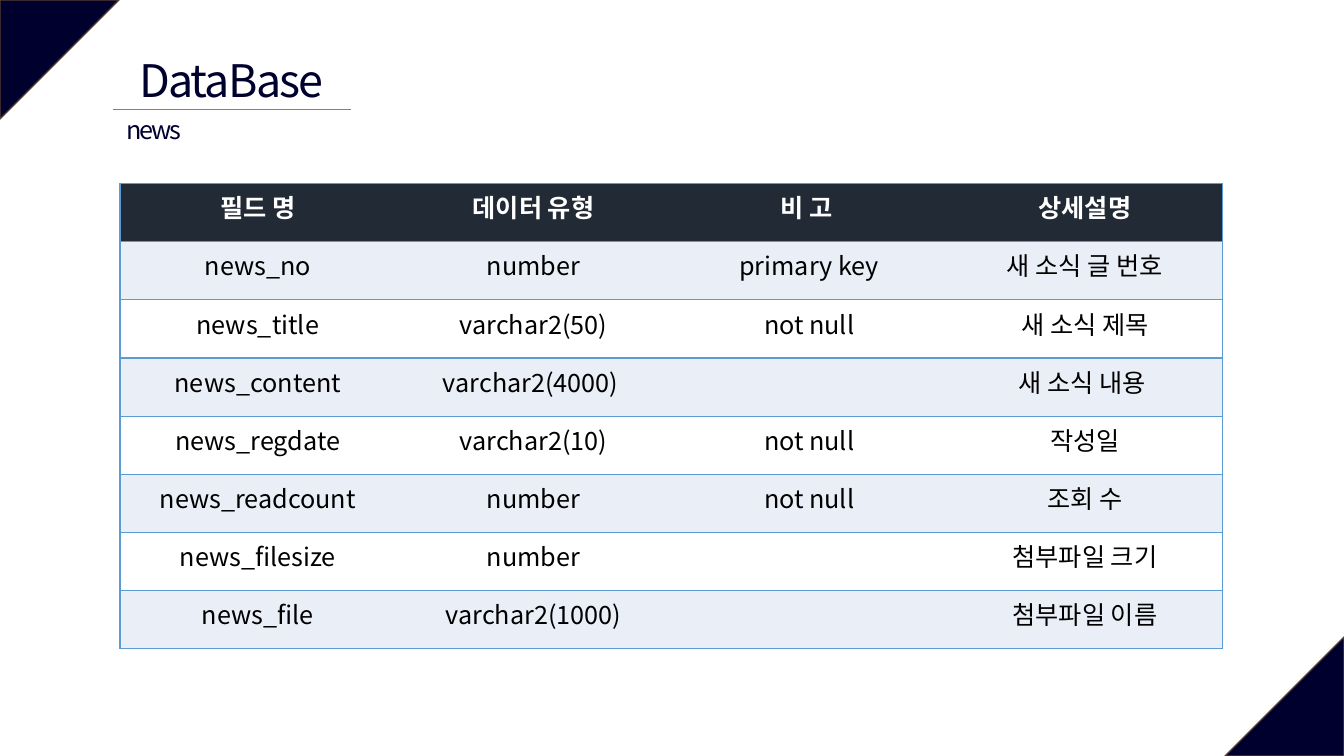
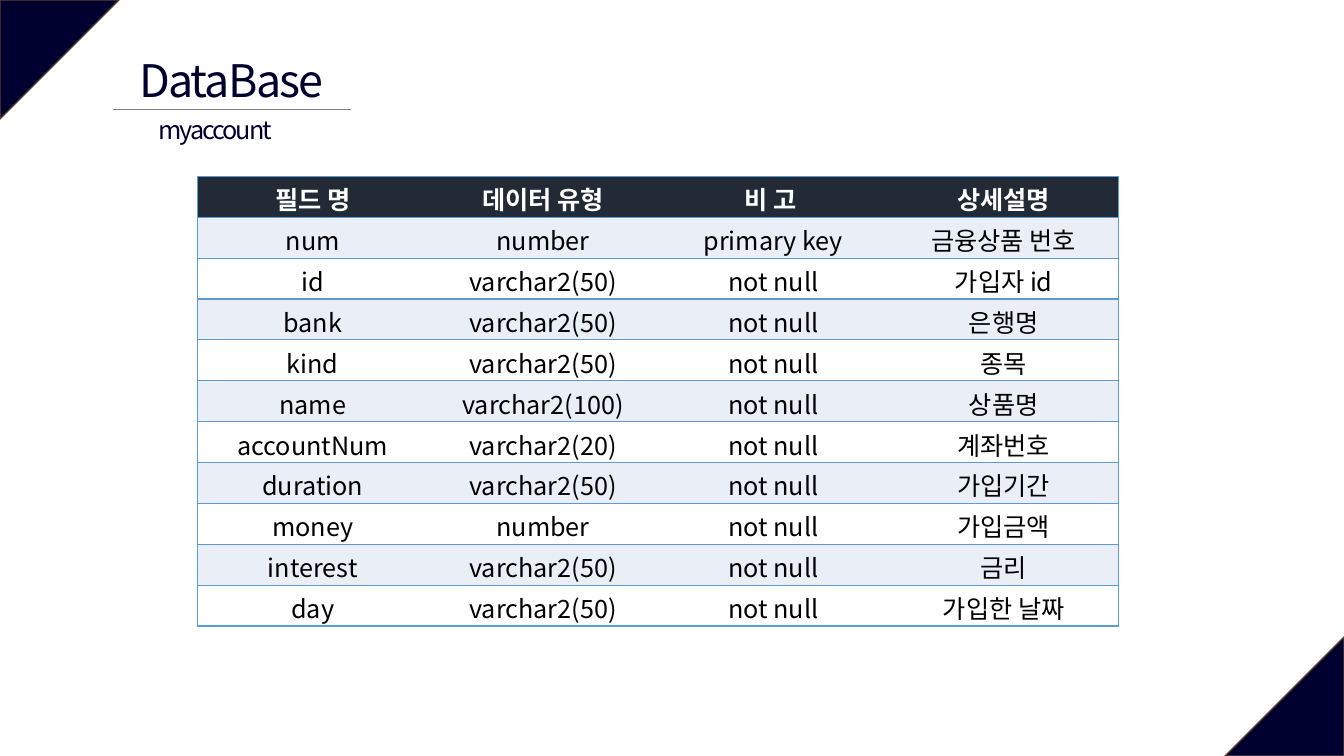
"""Build two slides that describe database tables."""
from dataclasses import dataclass

from lxml.etree import SubElement
from pptx import Presentation
from pptx.dml.color import RGBColor
from pptx.enum.shapes import MSO_CONNECTOR, MSO_SHAPE
from pptx.enum.text import MSO_ANCHOR, MSO_AUTO_SIZE, PP_ALIGN
from pptx.oxml.ns import qn
from pptx.util import Pt

HEADER = ("필드 명", "데이터 유형", "비 고 ", "상세설명")
SLIDES = [
    {
        "title": "DataBase",
        "subtitle": "news",
        "subtitle_box": (80.6, 77.8, 58.3, 28.8),
        "table_box": (85.7, 131, 787.7, 332.6),
        "margins": (3.6, 3.6),
        "rows": [
            ("news_no", "number", "primary key", "새 소식 글 번호"),
            ("news_title", "varchar2(50)", "not null", "새 소식 제목"),
            ("news_content", "varchar2(4000) ", "", "새 소식 내용 "),
            ("news_regdate", "varchar2(10)", "not null", "작성일"),
            ("news_readcount", "number", "not null", "조회 수"),
            ("news_filesize", "number", "", "첨부파일 크기"),
            ("news_file", "varchar2(1000)", "", "첨부파일 이름"),
        ],
    },
    {
        "title": "DataBase",
        "subtitle": "myaccount",
        "subtitle_box": (100.1, 77.8, 107.3, 28.8),
        "table_box": (141.1, 126, 658.1, 321.2),
        "margins": (3, 0),
        "rows": [
            ("num", "number", "primary key", "금융상품 번호"),
            ("id", "varchar2(50)", "not null", "가입자 id"),
            ("bank", "varchar2(50)", "not null", "은행명"),
            ("kind", "varchar2(50)", "not null", "종목"),
            ("name", "varchar2(100)", "not null", "상품명"),
            ("accountNum", "varchar2(20)", "not null", "계좌번호"),
            ("duration", "varchar2(50)", "not null", "가입기간"),
            ("money", "number", "not null", "가입금액"),
            ("interest", "varchar2(50)", "not null", "금리"),
            ("day", "varchar2(50)", "not null", "가입한 날짜"),
        ],
    },
]

PAGE_WIDTH, PAGE_HEIGHT = 960, 540
CORNER = 85
TITLE_BOX = (82.8, 34.6, 164.9, 44.6)
RULE = (80.6, 77.8, 250.6, 77.8)


@dataclass(frozen=True)
class Theme:
    """Colours, font and type sizes of the deck."""
    font: str = "Noto Sans CJK KR"
    navy: str = "00002F"
    corner_edge: str = "5B3F33"
    rule: str = "808080"
    header: str = "222A35"
    band: str = "EAEFF7"
    white: str = "FFFFFF"
    black: str = "000000"
    border: str = "5B9BD5"
    title_size: float = 32
    text_size: float = 18


THEME = Theme()


def points(values):
    """Turn plain numbers into point lengths."""
    return [Pt(value) for value in values]


def colour(code):
    """Turn a hex code into a colour."""
    return RGBColor.from_string(code)


def write(frame, text, size=THEME.text_size, ink=THEME.black, bold=False, spacing=0):
    """Write one centred, formatted line into a text frame."""
    para = frame.paragraphs[0]
    para.alignment = PP_ALIGN.CENTER
    span = para.add_run()
    span.text = text
    span.font.size = Pt(size)
    span.font.bold = bold
    span.font.color.rgb = colour(ink)
    span.font.name = THEME.font
    properties = span.font._element
    SubElement(properties, qn("a:ea"), typeface=THEME.font)
    if spacing:
        properties.set("spc", str(round(spacing * 100)))


def write_heading(box, text, **style):
    """Write a single-line heading in the middle of its box."""
    frame = box.text_frame
    frame.word_wrap = False
    frame.auto_size = MSO_AUTO_SIZE.NONE
    frame.vertical_anchor = MSO_ANCHOR.MIDDLE
    write(frame, text, ink=THEME.navy, **style)


def add_corner(page, left, top, rotation):
    """Draw a triangle that fills one corner of the page."""
    corner = page.shapes.add_shape(
        MSO_SHAPE.ISOSCELES_TRIANGLE, *points((left, top, CORNER, CORNER)))
    corner.adjustments[0] = 0
    corner.rotation = rotation
    corner.shadow.inherit = False
    corner.fill.solid()
    corner.fill.fore_color.rgb = colour(THEME.navy)
    corner.line.color.rgb = colour(THEME.corner_edge)
    corner.line.width = Pt(1)
    return corner


def add_rule(page):
    """Draw the thin line under the title."""
    rule = page.shapes.add_connector(MSO_CONNECTOR.STRAIGHT, *points(RULE))
    rule.line.color.rgb = colour(THEME.rule)
    rule.line.width = Pt(0.5)
    SubElement(rule.element.spPr, qn("a:effectLst"))
    return rule


def decorate_layout(layout, page):
    """Place the title and move the shared decoration from a page to its layout."""
    title = layout.placeholders[0]
    title.left, title.top, title.width, title.height = points(TITLE_BOX)
    decoration = [
        add_corner(page, 0, 0, 90),
        add_corner(page, PAGE_WIDTH - CORNER, PAGE_HEIGHT - CORNER, 270),
        add_rule(page),
    ]
    for number, shape in enumerate(decoration, start=100):
        shape.element.xpath(".//p:cNvPr")[0].set("id", str(number))
        layout.shapes.element.append(shape.element)


def set_borders(cell, sides):
    """Draw the listed sides of a cell and clear the others."""
    properties = cell._tc.get_or_add_tcPr()
    for side in "LRTB":
        line = SubElement(properties, qn(f"a:ln{side}"), w=str(Pt(1)))
        if side in sides:
            fill = SubElement(line, qn("a:solidFill"))
            SubElement(fill, qn("a:srgbClr"), val=THEME.border)
        else:
            SubElement(line, qn("a:noFill"))


def add_field_table(page, box, margins, rows):
    """Draw a banded table with the shared header."""
    content = [HEADER, *rows]
    columns = len(HEADER)
    left, top, width, height = box
    table = page.shapes.add_table(len(content), columns, *points(box)).table
    table.horz_banding = False
    for column in table.columns:
        column.width = Pt(width / columns)
    for row_index, values in enumerate(content):
        table.rows[row_index].height = Pt(height / len(content))
        is_header = row_index == 0
        band = THEME.band if row_index % 2 else THEME.white
        for column_index, text in enumerate(values):
            cell = table.cell(row_index, column_index)
            cell.margin_top, cell.margin_bottom = points(margins)
            outer = {0: "L", columns - 1: "R"}.get(column_index, "")
            set_borders(cell, "TB" + outer)
            cell.fill.solid()
            cell.fill.fore_color.rgb = colour(THEME.header if is_header else band)
            if text:
                write(cell.text_frame, text, bold=is_header,
                      ink=THEME.white if is_header else THEME.black)


def main():
    """Build and save the deck."""
    deck = Presentation()
    deck.slide_width, deck.slide_height = points((PAGE_WIDTH, PAGE_HEIGHT))
    layout = deck.slide_layouts.get_by_name("Title Only")
    for index, content in enumerate(SLIDES):
        page = deck.slides.add_slide(layout)
        if index == 0:
            decorate_layout(layout, page)
        write_heading(page.shapes.title, content["title"],
                      size=THEME.title_size, spacing=-1.3)
        subtitle = page.shapes.add_textbox(*points(content["subtitle_box"]))
        write_heading(subtitle, content["subtitle"], spacing=-1.5)
        add_field_table(page, content["table_box"], content["margins"], content["rows"])
    deck.save("out.pptx")


if __name__ == "__main__":
    main()
